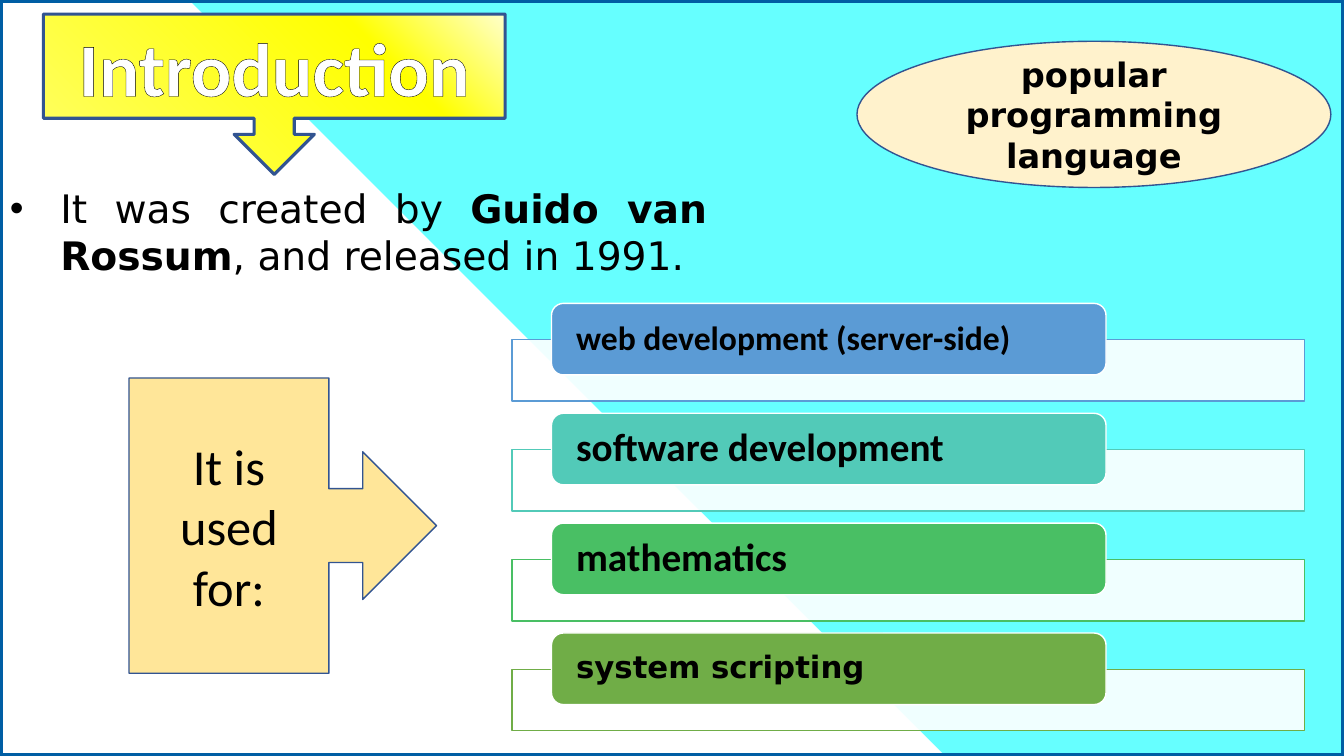
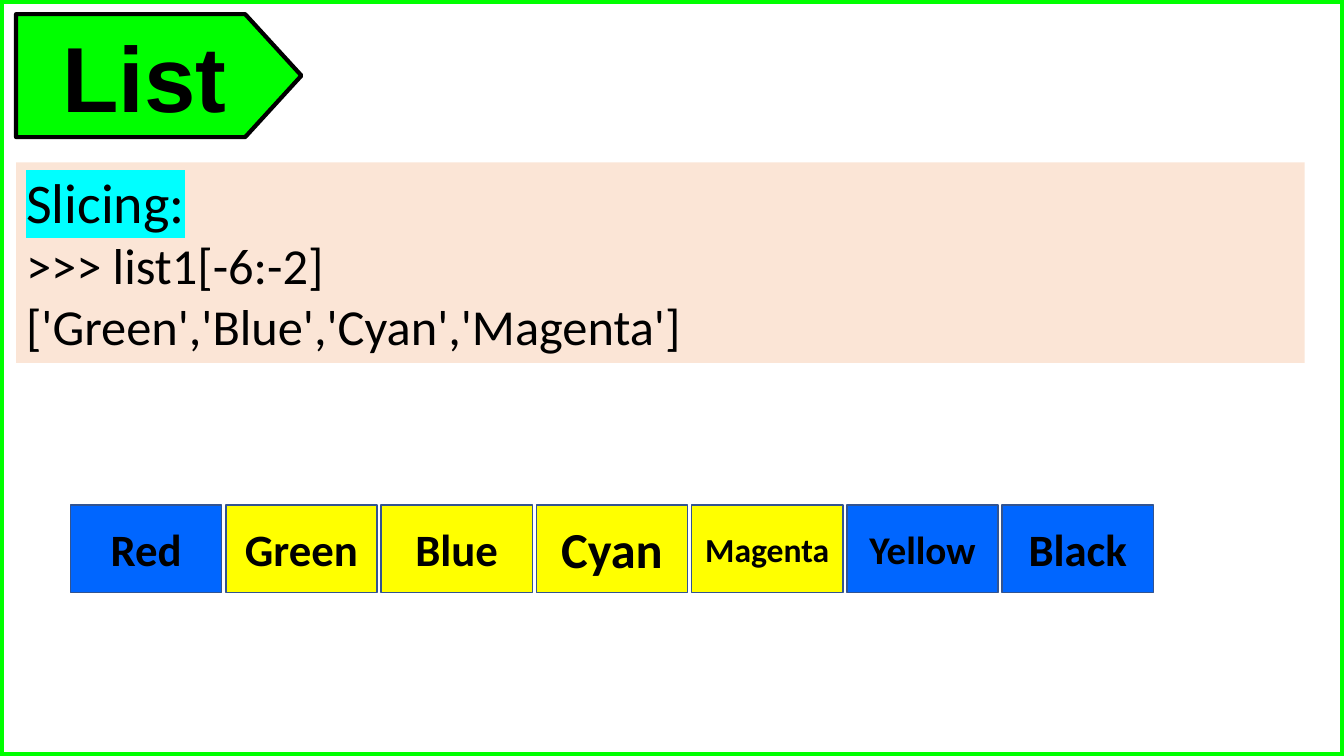
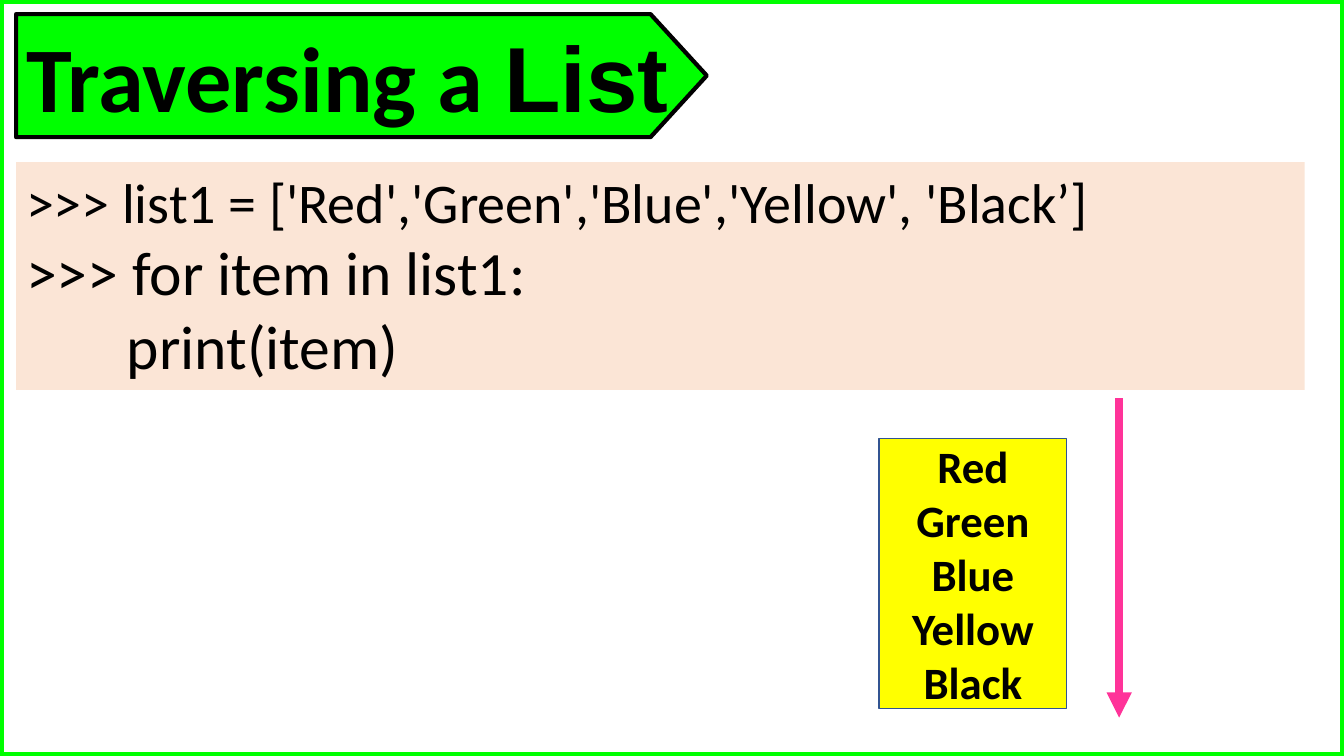
"""Build three lesson slides: a language introduction, list slicing and list traversal."""
from lxml import etree
from pptx import Presentation
from pptx.dml.color import RGBColor
from pptx.enum import shapes, text
from pptx.oxml.ns import qn
from pptx.util import Inches, Pt

BLACK = RGBColor(0x00, 0x00, 0x00)
WHITE = RGBColor(0xFF, 0xFF, 0xFF)
AQUA = RGBColor(0x66, 0xFF, 0xFF)
CYAN = RGBColor(0x00, 0xFF, 0xFF)
NAVY = RGBColor(0x32, 0x54, 0x91)
FRAME_BLUE = RGBColor(0x00, 0x5E, 0xA4)
GREEN = RGBColor(0x00, 0xFF, 0x00)
YELLOW = RGBColor(0xFF, 0xFF, 0x00)
LEMON = RGBColor(0xFF, 0xFF, 0x66)
CREAM = RGBColor(0xFF, 0xFF, 0xCC)
IVORY = RGBColor(0xFF, 0xF2, 0xCC)
SAND = RGBColor(0xFF, 0xE6, 0x99)
PEACH = RGBColor(0xFB, 0xE5, 0xD6)
BLUE = RGBColor(0x00, 0x66, 0xFF)
PINK = RGBColor(0xFF, 0x33, 0x99)

SHAPE = shapes.MSO_SHAPE
LEFT, CENTER, JUSTIFY = text.PP_ALIGN.LEFT, text.PP_ALIGN.CENTER, text.PP_ALIGN.JUSTIFY
TOP, MIDDLE = text.MSO_ANCHOR.TOP, text.MSO_ANCHOR.MIDDLE
SLIDE_WIDTH, SLIDE_HEIGHT = 13.33, 7.5
SANS, WIDE, HEADING = "Calibri", "DejaVu Sans", "Arial"

CREATION = [("It was created by ", {}), ("Guido van Rossum", {"bold": True}),
            (", and released in 1991.", {})]
USES = [
    ("web development (server-side)", 24, SANS, RGBColor(0x5B, 0x9B, 0xD5)),
    ("software development", 28, SANS, RGBColor(0x52, 0xCA, 0xB8)),
    ("mathematics", 28, SANS, RGBColor(0x49, 0xBF, 0x64)),
    ("system scripting", 22, WIDE, RGBColor(0x70, 0xAD, 0x47)),
]
SLICING = [
    [("Slicing:", {"size": Pt(40)})],
    [(">>> list1[-6:-2]", {})],
    [("['Green','Blue','Cyan','Magenta']", {})],
]
ITEMS = [("Red", 32), ("Green", 32), ("Blue", 32), ("Cyan", 36),
         ("Magenta", 24), ("Yellow", 28), ("Black", 32)]
SLICE = range(len(ITEMS) - 6, len(ITEMS) - 2)
TRAVERSING = [
    [(">>> list1 = ['Red','Green','Blue','Yellow', 'Black’]", {"size": Pt(40)})],
    [(">>> for item in list1:", {})],
    [("\t\tprint(item)", {})],
]
OUTPUT = ["Red", "Green", "Blue", "Yellow", "Black"]


def add_xml(parent, tag, **attributes):
    return etree.SubElement(parent, qn(tag), attributes)


def fill_gradient(fill, owner, stops):
    fill.gradient()
    gradient = owner.find(".//" + qn("a:gradFill"))
    for child in list(gradient):
        gradient.remove(child)
    stop_list = add_xml(gradient, "a:gsLst")
    for position, color in stops:
        stop = add_xml(stop_list, "a:gs", pos=str(position * 1000))
        add_xml(stop, "a:srgbClr", val=str(color))
    radial = add_xml(gradient, "a:path", path="circle")
    add_xml(radial, "a:fillToRect", t="100000", r="100000")


def write(frame, paragraphs, size, name=SANS, bold=False, align=CENTER, anchor=MIDDLE):
    frame.word_wrap = True
    frame.vertical_anchor = anchor
    for index, runs in enumerate(paragraphs):
        paragraph = frame.paragraphs[0] if index == 0 else frame.add_paragraph()
        paragraph.alignment = align
        for words, changes in runs:
            run = paragraph.add_run()
            run.text = words
            run.font.color.rgb = BLACK
            formats = {"size": Pt(size), "name": name, "bold": bold} | changes
            for key, value in formats.items():
                setattr(run.font, key, value)


def add_box(slide, kind, place, fill=None, line=None, weight=1):
    shape = slide.shapes.add_shape(kind, *map(Inches, place))
    shape.shadow.inherit = False
    if fill is None:
        shape.fill.background()
    else:
        shape.fill.solid()
        shape.fill.fore_color.rgb = fill
    if line is None:
        shape.line.fill.background()
    else:
        shape.line.color.rgb = line
        shape.line.width = Pt(weight)
    return shape


def add_frame(slide, color, weight):
    add_box(slide, SHAPE.RECTANGLE, (0, 0, SLIDE_WIDTH, SLIDE_HEIGHT), line=color, weight=weight)


def add_lesson(presentation, title_runs, title_width, code, code_height, code_size):
    slide = presentation.slides.add_slide(presentation.slide_layouts[6])
    add_frame(slide, GREEN, 6)
    banner = add_box(slide, SHAPE.PENTAGON, (0.16, 0.14, title_width, 1.22), GREEN, BLACK, 3)
    banner.adjustments[0] = 0.457
    write(banner.text_frame, [title_runs], 66, bold=True)
    panel = add_box(slide, SHAPE.RECTANGLE, (0.16, 1.61, 12.78, code_height), PEACH)
    write(panel.text_frame, code, code_size, align=LEFT, anchor=TOP)
    return slide, panel


def add_use(slide, row, words, size, name, color):
    top = 3.01 + row * 1.09
    bar = add_box(slide, SHAPE.RECTANGLE, (5.08, top + 0.36, 7.86, 0.61), WHITE, color)
    bar_color = bar._element.spPr.find(qn("a:solidFill"))[0]
    add_xml(bar_color, "a:alpha", val="90000")
    card = add_box(slide, SHAPE.ROUNDED_RECTANGLE, (5.47, top, 5.5, 0.71), color, WHITE)
    write(card.text_frame, [[(words, {})]], size, name, True, LEFT)
    margins = {"margin_left": 0.21, "margin_right": 0.21, "margin_top": 0, "margin_bottom": 0}
    for key, value in margins.items():
        setattr(card.text_frame, key, Inches(value))
    card.text_frame.paragraphs[0].line_spacing = 0.9


def build_introduction(presentation):
    slide = presentation.slides.add_slide(presentation.slide_layouts[6])
    fill_gradient(slide.background.fill, slide._element, [(45, WHITE), (45, AQUA)])

    title = add_box(slide, SHAPE.DOWN_ARROW_CALLOUT, (0.43, 0.14, 4.58, 1.59), YELLOW, NAVY, 2.25)
    fill_gradient(title.fill, title._element, [(0, LEMON), (74, YELLOW), (100, CREAM)])
    write(title.text_frame, [[("Introduction", {})]], 54, bold=True)
    title_run = title.text_frame.paragraphs[0].runs[0]
    title_run.font.color.rgb = WHITE
    outline = etree.Element(qn("a:ln"), w=str(Pt(2.25)))
    add_xml(add_xml(outline, "a:solidFill"), "a:srgbClr", val=str(BLACK))
    title_run._r.get_or_add_rPr().insert(0, outline)

    creation = slide.shapes.add_textbox(*map(Inches, (0, 1.78, 7.11, 2.93)))
    write(creation.text_frame, [CREATION], 28, WIDE, align=JUSTIFY, anchor=TOP)
    properties = creation.text_frame.paragraphs[0]._p.get_or_add_pPr()
    properties.set("marL", str(Inches(0.5)))
    properties.set("indent", str(Inches(-0.5)))
    add_xml(properties, "a:buFont", typeface=HEADING)
    add_xml(properties, "a:buChar", char="•")

    add_frame(slide, FRAME_BLUE, 4.5)
    popular = add_box(slide, SHAPE.OVAL, (8.5, 0.41, 4.7, 1.45), IVORY, NAVY)
    write(popular.text_frame, [[("popular programming language", {})]], 24, WIDE, True)
    for row, use in enumerate(USES):
        add_use(slide, row, *use)
    used_for = add_box(slide, SHAPE.RIGHT_ARROW_CALLOUT, (1.28, 3.75, 3.05, 2.93), SAND, NAVY)
    write(used_for.text_frame, [[("It is used for:", {})]], 36)


def build_slicing(presentation):
    slide, panel = add_lesson(presentation, [("List", {"name": HEADING})], 2.83, SLICING, 1.99, 36)
    heading = panel.text_frame.paragraphs[0].runs[0]._r.get_or_add_rPr()
    highlight = etree.Element(qn("a:highlight"))
    add_xml(highlight, "a:srgbClr", val=str(CYAN))
    heading.find(qn("a:latin")).addprevious(highlight)
    for index, (item, size) in enumerate(ITEMS):
        color = YELLOW if index in SLICE else BLUE
        cell = add_box(slide, SHAPE.RECTANGLE, (0.7 + index * 1.54, 5.01, 1.5, 0.87), color, NAVY)
        write(cell.text_frame, [[(item, {})]], size, bold=True)


def build_traversing(presentation):
    title = [("Traversing a ", {}), ("List", {"name": HEADING})]
    slide, _ = add_lesson(presentation, title, 6.85, TRAVERSING, 2.26, 44)
    output = add_box(slide, SHAPE.RECTANGLE, (8.72, 4.35, 1.86, 2.68), YELLOW, NAVY)
    write(output.text_frame, [[(item, {})] for item in OUTPUT], 32, bold=True)
    arrow = slide.shapes.add_connector(
        shapes.MSO_CONNECTOR.STRAIGHT, *map(Inches, (11.1, 3.95, 11.1, 7.12)))
    arrow.line.color.rgb = PINK
    arrow.line.width = Pt(6)
    properties = arrow._element.spPr
    add_xml(properties.find(qn("a:ln")), "a:tailEnd", type="triangle")
    add_xml(properties, "a:effectLst")


def main():
    presentation = Presentation()
    presentation.slide_width = Inches(SLIDE_WIDTH)
    presentation.slide_height = Inches(SLIDE_HEIGHT)
    build_introduction(presentation)
    build_slicing(presentation)
    build_traversing(presentation)
    presentation.save("out.pptx")


if __name__ == "__main__":
    main()
